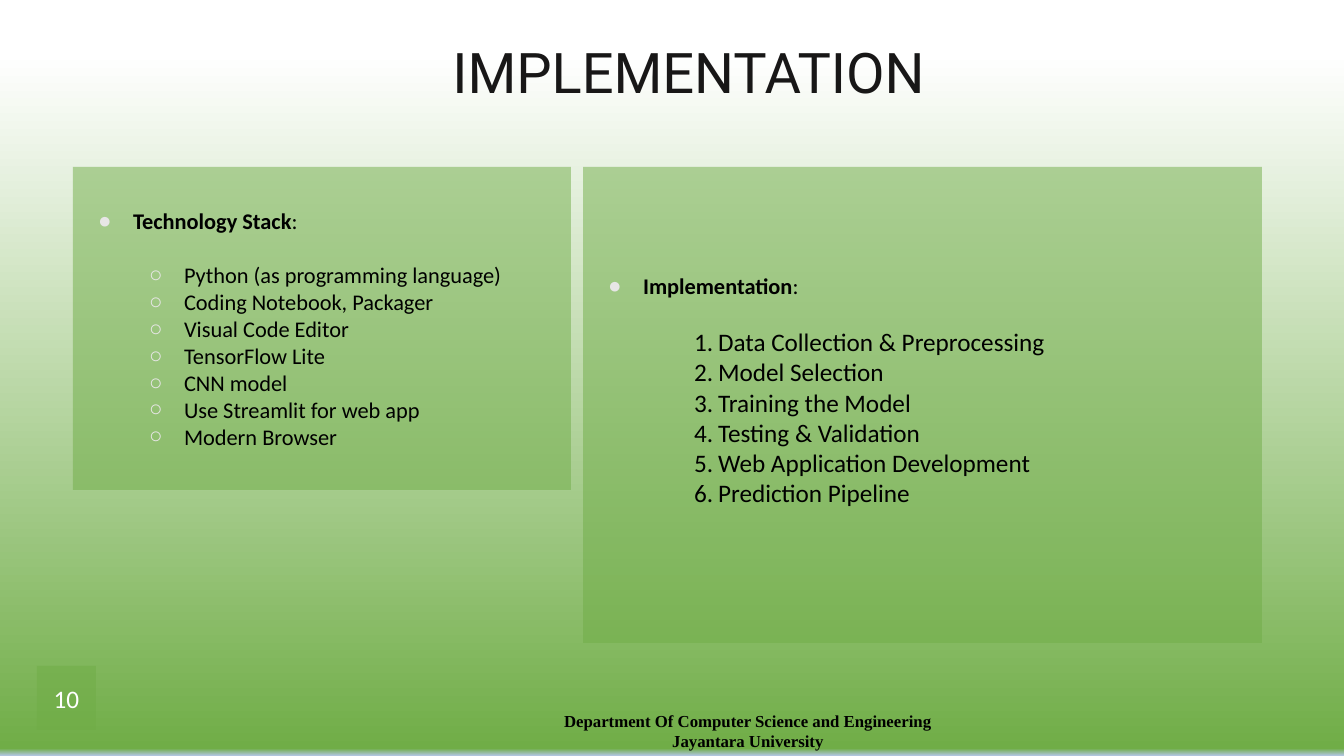
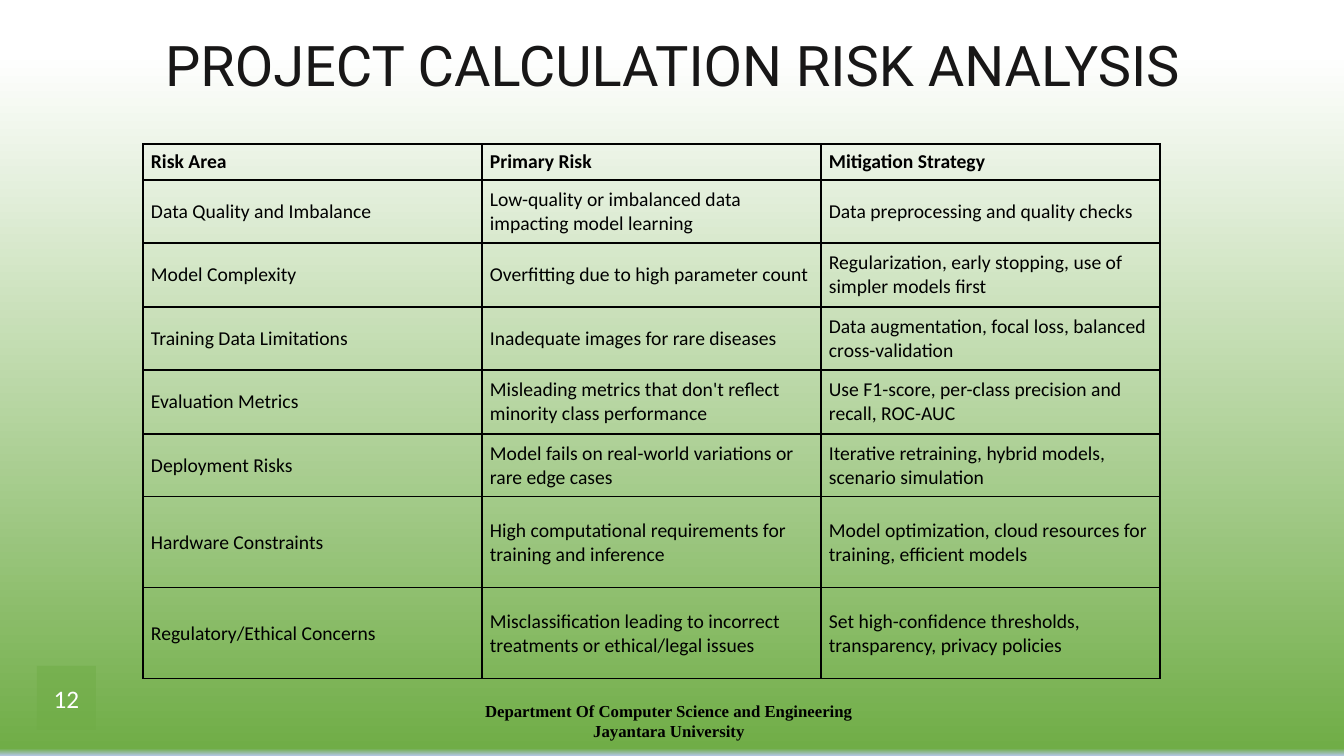
from dataclasses import dataclass

from lxml import etree
from pptx import Presentation
from pptx import util as u
from pptx.dml.color import RGBColor
from pptx.enum import shapes, text
from pptx.oxml import ns

EMU_PER_PX = 914400 / 100.8


@dataclass(frozen=True)
class Theme:
    ink: str = "000000"
    heading: str = "181717"
    green: str = "70AD47"
    bullet: str = "E7E6E6"
    white: str = "FFFFFF"
    backdrop: tuple = ((7, "FFFFFF"), (99, "70AD47"), (100, "B4C7E7"))
    panel_alpha: int = 50
    title_font: str = "Roboto"
    body_font: str = "Calibri"
    footer_font: str = "Times New Roman"
    title_size: int = 40
    large_size: int = 18
    body_size: int = 16
    table_size: int = 14
    footer_size: int = 12


THEME = Theme()
FOOTER = ("Department Of Computer Science and Engineering", "Jayantara University")
BADGE_BOX = (37, 666, 59, 64)
ROW_HEIGHTS = (36, 63, 64, 63, 64, 63, 91, 91)

TECHNOLOGIES = (
    "Python (as programming language)",
    "Coding Notebook, Packager",
    "Visual Code Editor",
    "TensorFlow Lite",
    "CNN model",
    "Use Streamlit for web app",
    "Modern Browser",
)
STEPS = (
    "Data Collection & Preprocessing",
    "Model Selection",
    "Training the Model",
    "Testing & Validation",
    "Web Application Development",
    "Prediction Pipeline",
)
RISKS = (
    ("Risk Area", "Primary Risk", "Mitigation Strategy"),
    ("Data Quality and Imbalance",
     "Low-quality or imbalanced data impacting model learning",
     "Data preprocessing and quality checks"),
    ("Model Complexity",
     "Overfitting due to high parameter count",
     "Regularization, early stopping, use of simpler models first"),
    ("Training Data Limitations",
     "Inadequate images for rare diseases",
     "Data augmentation, focal loss, balanced cross-validation"),
    ("Evaluation Metrics",
     "Misleading metrics that don't reflect minority class performance",
     "Use F1-score, per-class precision and recall, ROC-AUC"),
    ("Deployment Risks",
     "Model fails on real-world variations or rare edge cases",
     "Iterative retraining, hybrid models, scenario simulation"),
    ("Hardware Constraints",
     "High computational requirements for training and inference",
     "Model optimization, cloud resources for training, efficient models"),
    ("Regulatory/Ethical Concerns",
     "Misclassification leading to incorrect treatments or ethical/legal issues",
     "Set high-confidence thresholds, transparency, privacy policies"),
)


def px(length):
    return u.Emu(round(length * EMU_PER_PX))


def place(shape, box):
    shape.left, shape.top, shape.width, shape.height = map(px, box)


def child(parent, tag, **attributes):
    element = etree.SubElement(parent, ns.qn(tag))
    for name, value in attributes.items():
        element.set(name, str(value))
    return element


def style(para, size, color=THEME.ink, font=THEME.body_font, bold=False):
    for span in para.runs:
        span.font.size = u.Pt(size)
        span.font.name = font
        span.font.bold = bold
        span.font.color.rgb = RGBColor.from_string(color)


def fill_translucent(shape):
    shape.fill.solid()
    shape.fill.fore_color.rgb = RGBColor.from_string(THEME.green)
    color = shape.fill._xPr.find(".//" + ns.qn("a:srgbClr"))
    child(color, "a:alpha", val=THEME.panel_alpha * 1000)


def set_backdrop(master):
    fill = master.background.fill
    fill.gradient()
    fill.gradient_angle = 270
    stops = master.element.find(".//" + ns.qn("a:gsLst"))
    for stop in list(stops):
        stops.remove(stop)
    for position, color in THEME.backdrop:
        stop = child(stops, "a:gs", pos=position * 1000)
        child(stop, "a:srgbClr", val=color)


def set_title(page, box, words, align):
    title = page.shapes.title
    place(title, box)
    frame = title.text_frame
    frame.text = words
    frame.auto_size = text.MSO_AUTO_SIZE.NONE
    frame.vertical_anchor = text.MSO_ANCHOR.MIDDLE
    para = frame.paragraphs[0]
    para.alignment = align
    para.line_spacing = 0.9
    style(para, THEME.title_size, THEME.heading, THEME.title_font)


def add_footer(page, box):
    frame = page.shapes.add_textbox(*map(px, box)).text_frame
    frame.word_wrap = True
    frame.vertical_anchor = text.MSO_ANCHOR.MIDDLE
    frame.text = "\n".join(FOOTER)
    for para in frame.paragraphs:
        para.alignment = text.PP_ALIGN.CENTER
        style(para, THEME.footer_size, font=THEME.footer_font, bold=True)


def add_badge(page, number):
    badge = page.shapes.add_shape(shapes.MSO_SHAPE.RECTANGLE, *map(px, BADGE_BOX))
    badge.shadow.inherit = False
    badge.line.fill.background()
    fill_translucent(badge)
    frame = badge.text_frame
    frame.text = str(number)
    frame.vertical_anchor = text.MSO_ANCHOR.MIDDLE
    para = frame.paragraphs[0]
    para.alignment = text.PP_ALIGN.CENTER
    style(para, THEME.large_size, THEME.white)


def set_list_mark(para, mark, margin, hanging):
    """Give a bullet character, or automatic numbers when mark is None."""
    properties = para._p.get_or_add_pPr()
    properties.set("marL", str(px(margin)))
    properties.set("indent", str(-px(hanging)))
    if mark is None:
        child(properties, "a:buFontTx")
        child(properties, "a:buAutoNum", type="arabicPeriod")
    else:
        child(child(properties, "a:buClr"), "a:srgbClr", val=THEME.bullet)
        child(properties, "a:buChar", char=mark)


def fill_panel(panel, box, heading, items, size, mark, margin, hanging, room_below=5):
    place(panel, box)
    fill_translucent(panel)
    frame = panel.text_frame
    frame.text = "\n".join((heading, *items))
    frame.auto_size = text.MSO_AUTO_SIZE.NONE
    frame.vertical_anchor = text.MSO_ANCHOR.MIDDLE
    frame.margin_bottom = px(room_below)

    first, *rest = frame.paragraphs
    first.add_run().text = ":"
    style(first, THEME.body_size, bold=True)
    first.runs[-1].font.bold = False
    for para in frame.paragraphs:
        para.space_before = u.Pt(0)
    first.space_after = u.Pt(19.5)
    set_list_mark(first, "●", 50, 35)
    for para in rest:
        para.level = 1
        style(para, size)
        set_list_mark(para, mark, margin, hanging)


def set_borders(cell):
    properties = cell._tc.get_or_add_tcPr()
    for index, side in enumerate(("a:lnL", "a:lnR", "a:lnT", "a:lnB")):
        line = child(properties, side, w=u.Pt(1))
        child(child(line, "a:solidFill"), "a:srgbClr", val=THEME.ink)
        properties.insert(index, line)


def add_risk_table(page, box):
    frame = page.shapes.add_table(len(RISKS), len(RISKS[0]), *map(px, box))
    table = frame.table
    table.horz_banding = False
    for row, height in zip(table.rows, ROW_HEIGHTS):
        row.height = px(height)
    for row_index, words in enumerate(RISKS):
        for column_index, word in enumerate(words):
            cell = table.cell(row_index, column_index)
            cell.text = word
            cell.vertical_anchor = text.MSO_ANCHOR.MIDDLE
            cell.margin_left = cell.margin_right = px(8)
            cell.margin_top = cell.margin_bottom = px(4)
            cell.fill.background()
            set_borders(cell)
            style(cell.text_frame.paragraphs[0], THEME.table_size, bold=row_index == 0)


def build_implementation(deck):
    page = deck.slides.add_slide(deck.slide_layouts.get_by_name("Two Content"))
    set_title(page, (219, 45, 939, 60), "IMPLEMENTATION", text.PP_ALIGN.CENTER)
    add_footer(page, (412, 706, 672, 50))
    technology, process = list(page.placeholders)[1:]
    fill_panel(technology, (73, 167, 498, 323), "Technology Stack", TECHNOLOGIES,
               THEME.body_size, "○", 101, 35)
    fill_panel(process, (583, 167, 679, 476), "Implementation", STEPS,
               THEME.large_size, None, 125, 24, room_below=35)
    add_badge(page, 10)


def build_risk_analysis(deck):
    page = deck.slides.add_slide(deck.slide_layouts.get_by_name("Title Only"))
    set_title(page, (155, 38, 1142, 60), "PROJECT CALCULATION RISK ANALYSIS",
              text.PP_ALIGN.LEFT)
    add_footer(page, (442, 696, 454, 50))
    add_risk_table(page, (143, 144, 1017, sum(ROW_HEIGHTS)))
    add_badge(page, 12)


def main():
    deck = Presentation()
    deck.slide_width, deck.slide_height = px(1344), px(756)
    set_backdrop(deck.slide_master)
    build_implementation(deck)
    build_risk_analysis(deck)
    deck.save("out.pptx")


if __name__ == "__main__":
    main()
